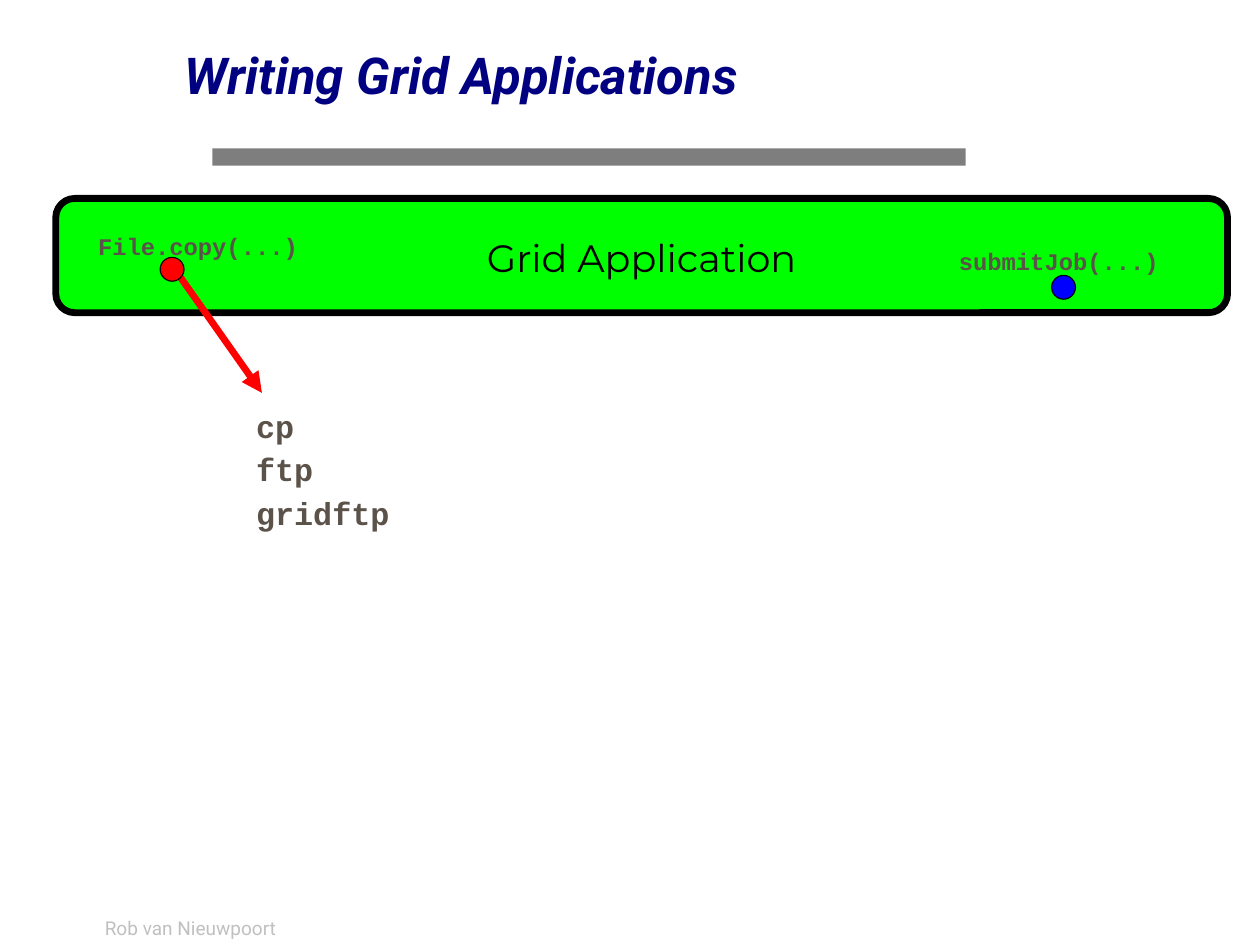
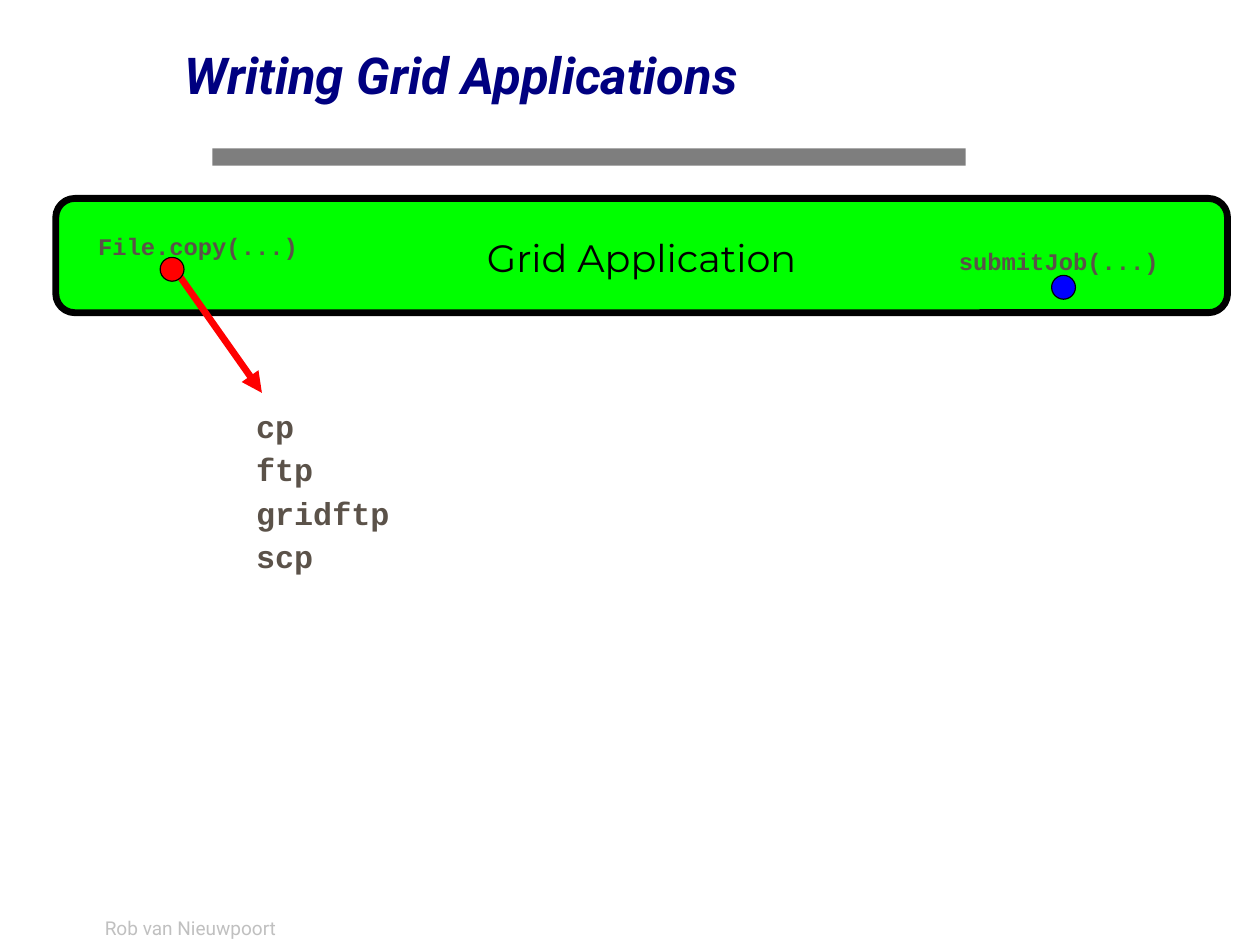
import pptx
import pptx.dml.color
import pptx.enum.shapes
import pptx.enum.text
import pptx.oxml.ns
import pptx.util
from lxml import etree
from pptx.dml.color import RGBColor
from pptx.enum.shapes import MSO_SHAPE
from pptx.enum.text import MSO_ANCHOR, PP_ALIGN
from pptx.util import Cm, Pt

NAVY = RGBColor(0x00, 0x00, 0x80)
BAND_GRAY = RGBColor(0x7E, 0x7E, 0x7E)
FOOTER_GRAY = RGBColor(0xC0, 0xC0, 0xC0)
CODE_BROWN = RGBColor(0x5B, 0x52, 0x49)
BLACK = RGBColor(0x00, 0x00, 0x00)
GREEN = RGBColor(0x00, 0xFF, 0x00)
RED = RGBColor(0xFF, 0x00, 0x00)
BLUE = RGBColor(0x00, 0x00, 0xFF)

HEAVY_LINE = Pt(4.31)
DOT_SIZE = Cm(0.53)


def add_filled(slide, kind, left, top, width, height, fill, line_width=None):
    """Add a flat shape, outlined in black if a line width is given."""
    shape = slide.shapes.add_shape(kind, left, top, width, height)
    shape.shadow.inherit = False
    shape.fill.solid()
    shape.fill.fore_color.rgb = fill
    if line_width is None:
        shape.line.fill.background()
    else:
        shape.line.color.rgb = BLACK
        shape.line.width = line_width
    return shape


def set_text(shape, lines, font_name, size, color, spacing=1.08, margin=0, bold=False):
    """Write one paragraph per line, all in the same style."""
    frame = shape.text_frame
    frame.margin_left = frame.margin_right = margin
    frame.margin_top = frame.margin_bottom = margin
    frame.text = "\n".join(lines)
    for paragraph in frame.paragraphs:
        paragraph.alignment = PP_ALIGN.LEFT
        paragraph.line_spacing = spacing
        paragraph.font.name = font_name
        paragraph.font.size = Pt(size)
        paragraph.font.bold = bold
        paragraph.font.color.rgb = color
    return frame


presentation = pptx.Presentation()
presentation.slide_width, presentation.slide_height = Cm(28), Cm(21)

# Shared layout: title place, gray band and author footer
layout = presentation.slide_layouts[5]
for placeholder in list(layout.placeholders):
    if placeholder.placeholder_format.idx == 0:
        placeholder.left, placeholder.top = Cm(4.11), Cm(0)
        placeholder.width, placeholder.height = Cm(17.55), Cm(3.18)
    else:
        layout.shapes.element.remove(placeholder.element)

slides = [presentation.slides.add_slide(layout) for _ in range(2)]

band = add_filled(slides[0], MSO_SHAPE.RECTANGLE,
                  Cm(4.72), Cm(3.3), Cm(16.74), Cm(0.38), BAND_GRAY)
footer = slides[0].shapes.add_textbox(Cm(2.08), Cm(20.17), Cm(6.17), Cm(0.84))
footer_frame = set_text(footer, ["Rob van Nieuwpoort"], "Roboto", 12, FOOTER_GRAY, spacing=1.07)
footer_frame.word_wrap = True
footer_frame.vertical_anchor = MSO_ANCHOR.BOTTOM
footer_frame.margin_left = footer_frame.margin_right = Cm(0.25)
footer_frame.margin_top = footer_frame.margin_bottom = Cm(0.13)
for shared_shape in (band, footer):
    layout.shapes.element.append(shared_shape.element)

protocols = ["cp", "ftp", "gridftp", "scp"]
for slide, protocol_count in zip(slides, (3, 4)):
    title_frame = set_text(slide.shapes.title, ["Writing Grid Applications"],
                           "Roboto", 32, NAVY, bold=True)
    title_frame.vertical_anchor = MSO_ANCHOR.MIDDLE
    title_frame.auto_size = pptx.enum.text.MSO_AUTO_SIZE.NONE
    title_frame.paragraphs[0].font.italic = True

    application = add_filled(slide, MSO_SHAPE.ROUNDED_RECTANGLE,
                             Cm(1.24), Cm(4.41), Cm(26.04), Cm(2.54), GREEN, HEAVY_LINE)
    application_frame = set_text(application, ["Grid Application"], "Montserrat", 24, BLACK,
                                 margin=Cm(0.08))
    application_frame.vertical_anchor = MSO_ANCHOR.MIDDLE
    application_frame.paragraphs[0].alignment = PP_ALIGN.CENTER

    arrow = slide.shapes.add_connector(pptx.enum.shapes.MSO_CONNECTOR.STRAIGHT,
                                       Cm(3.91), Cm(6.02), Cm(5.82), Cm(8.73))
    arrow.line.color.rgb = RED
    arrow.line.width = HEAVY_LINE
    arrow_line = arrow.line._get_or_add_ln()
    etree.SubElement(arrow_line, pptx.oxml.ns.qn("a:tailEnd"), type="triangle")
    etree.SubElement(arrow.element.spPr, pptx.oxml.ns.qn("a:effectLst"))

    for left, top, color in ((3.56, 5.72, RED), (23.37, 6.12, BLUE)):
        add_filled(slide, MSO_SHAPE.OVAL, Cm(left), Cm(top), DOT_SIZE, DOT_SIZE, color, Pt(0))

    for lines, left, top, width, height, size in (
        (["File.copy(...)"], 2.18, 5.06, 4.45, 0.76, 15),
        (["submitJob(...)"], 21.31, 5.4, 4.45, 0.76, 15),
        (protocols[:protocol_count], 5.69, 8.92, 2.97, 1.05 * protocol_count, 20),
    ):
        code = slide.shapes.add_textbox(Cm(left), Cm(top), Cm(width), Cm(height))
        code_frame = set_text(code, lines, "Courier New", size, CODE_BROWN, spacing=1.14, bold=True)
        code_frame.word_wrap = False

presentation.save("out.pptx")
